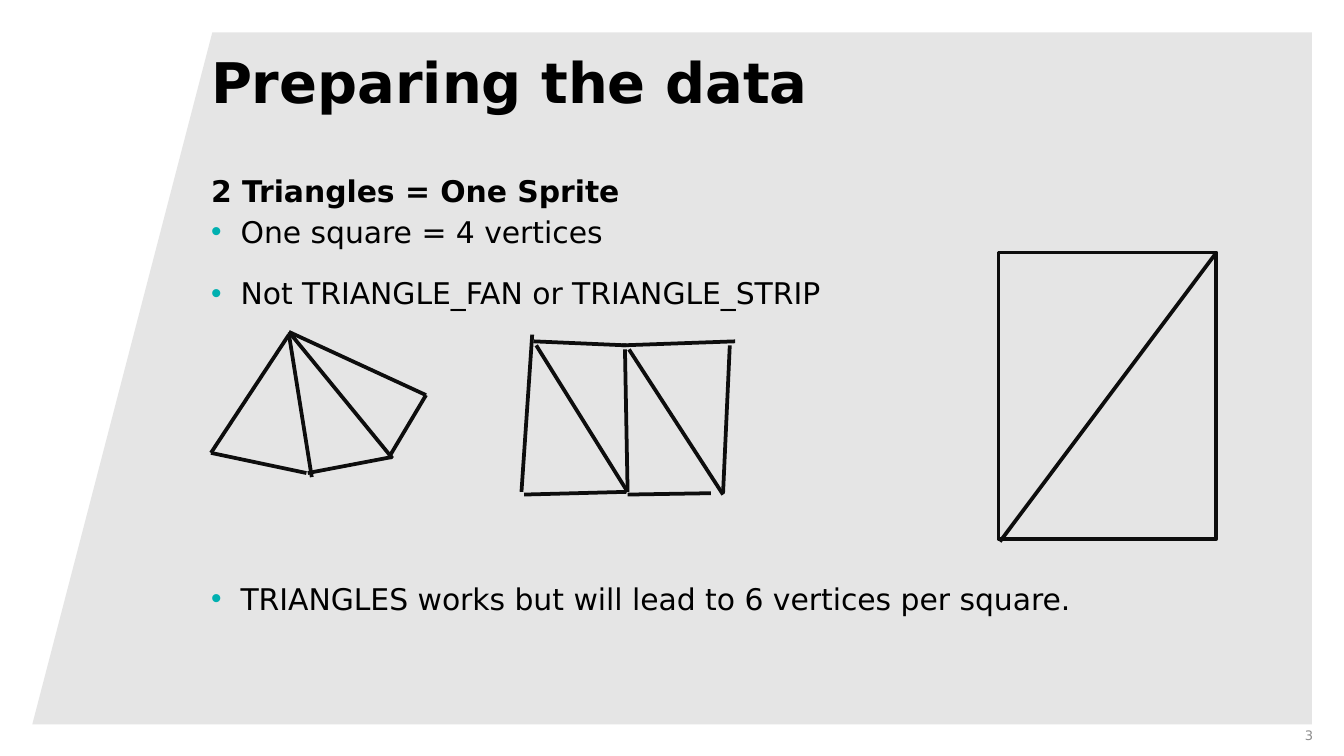
"""Build the slide on preparing triangle data for sprites."""
from lxml.etree import SubElement
from pptx import Presentation
from pptx.dml.color import RGBColor
from pptx.enum.shapes import MSO_CONNECTOR, MSO_SHAPE
from pptx.enum.text import MSO_ANCHOR, MSO_AUTO_SIZE, PP_ALIGN
from pptx.oxml.ns import qn
from pptx.util import Inches, Pt

THEME = dict(font="DejaVu Sans", panel="E5E5E5", ink="000000", line="0D0D0D",
             dot="00B0B0", grey="8C8C8C", title=30, body=16, number=7, width=2)
WIDE = 10
HIGH = WIDE * 9 / 16
LEFT, SPAN = 1.57, 7.92
TITLE = "Preparing the data"
HEAD = "2 Triangles = One Sprite"
POINTS = [("One square = 4 vertices", 12),
          ("Not TRIANGLE_FAN or TRIANGLE_STRIP", 12),
          ("TRIANGLES works but will lead to 6 vertices per square.", 143)]
PANEL = [(0.24, 5.39), (1.58, 0.24), (9.76, 0.24), (9.76, 5.39)]
SQUARE = (7.43, 1.88, 1.62, 2.13)
DIAGONAL = [(7.44, 4.03, 9.05, 1.88)]
FAN = [(2.15, 2.49, 1.57, 3.37), (2.15, 2.49, 2.32, 3.55),
       (2.15, 2.47, 2.92, 3.41), (2.15, 2.47, 3.17, 2.94),
       (1.57, 3.37, 2.28, 3.52), (2.29, 3.52, 2.92, 3.4),
       (2.89, 3.41, 3.17, 2.94)]
STRIP = [(4.65, 2.6, 4.67, 3.66), (4.63, 2.57, 5.47, 2.54),
         (3.96, 2.49, 3.88, 3.66), (3.9, 3.68, 4.66, 3.66),
         (4.67, 3.66, 3.99, 2.57), (3.97, 2.54, 4.66, 2.57),
         (4.67, 3.68, 5.29, 3.67), (5.38, 3.68, 4.68, 2.6),
         (5.43, 2.57, 5.38, 3.67)]


def color(name):
    return RGBColor.from_string(THEME[name])


def place(shape, *box):
    shape.left, shape.top, shape.width, shape.height = map(Inches, box)


def write(shape, lines, size, ink="ink", bold=False, anchor=MSO_ANCHOR.TOP):
    frame = shape.text_frame
    frame.text = "\n".join(lines)
    frame.word_wrap = True
    frame.auto_size = MSO_AUTO_SIZE.NONE
    frame.vertical_anchor = anchor
    frame.margin_left = frame.margin_right = 0
    frame.margin_top = frame.margin_bottom = 0
    for para in frame.paragraphs:
        para.alignment = PP_ALIGN.LEFT
        font = para.runs[0].font
        font.name, font.size, font.bold = THEME["font"], Pt(THEME[size]), bold
        font.color.rgb = color(ink)
    return frame.paragraphs


def space(para, before):
    para.line_spacing = 1.08
    para.space_before = Pt(before)


def bullet(para, on):
    props = para._p.get_or_add_pPr()
    indent = Inches(0.22) if on else 0
    props.set("marL", str(indent))
    props.set("indent", str(-indent))
    if on:
        tint = SubElement(props, qn("a:buClr"))
        SubElement(tint, qn("a:srgbClr"), val=THEME["dot"])
        SubElement(props, qn("a:buChar"), char="•")
    else:
        SubElement(props, qn("a:buNone"))


def stroke(shape):
    shape.line.color.rgb = color("line")
    shape.line.width = Pt(THEME["width"])


def draw(shapes, edges):
    for edge in edges:
        line = shapes.add_connector(MSO_CONNECTOR.STRAIGHT, *map(Inches, edge))
        stroke(line)
        SubElement(line._element.spPr, qn("a:effectLst"))


deck = Presentation()
deck.slide_width, deck.slide_height = Inches(WIDE), Inches(HIGH)
slide = deck.slides.add_slide(deck.slide_layouts[3])
shapes = slide.shapes
title, head, body = slide.placeholders

start, *rest = [(Inches(x), Inches(y)) for x, y in PANEL]
pen = shapes.build_freeform(*start)
pen.add_line_segments(rest, close=True)
panel = pen.convert_to_shape()
panel.shadow.inherit = False
panel.fill.solid()
panel.fill.fore_color.rgb = color("panel")
panel.line.fill.background()
title._element.addprevious(panel._element)

place(title, LEFT, 0.45, SPAN, 0.59)
write(title, [TITLE], "title", bold=True)[0].line_spacing = 0.8

place(head, LEFT, 1.26, SPAN, 0.24)
para = write(head, [HEAD], "body", bold=True)[0]
space(para, 12)
bullet(para, False)

place(body, LEFT, 1.57, SPAN, 3.58)
paras = write(body, [text for text, gap in POINTS], "body")
for para, (text, gap) in zip(paras, POINTS):
    space(para, gap)
    bullet(para, True)

number = shapes.add_textbox(*map(Inches, (9.28, 5.32, 0.49, 0.3)))
para = write(number, ["3"], "number", "grey", anchor=MSO_ANCHOR.MIDDLE)[0]
para.alignment = PP_ALIGN.RIGHT

sprite = shapes.add_group_shape().shapes
square = sprite.add_shape(MSO_SHAPE.FLOWCHART_PROCESS, *map(Inches, SQUARE))
square.shadow.inherit = False
square.fill.background()
stroke(square)
draw(sprite, DIAGONAL)
for edges in (FAN, STRIP):
    draw(shapes.add_group_shape().shapes, edges)

deck.save("out.pptx")
